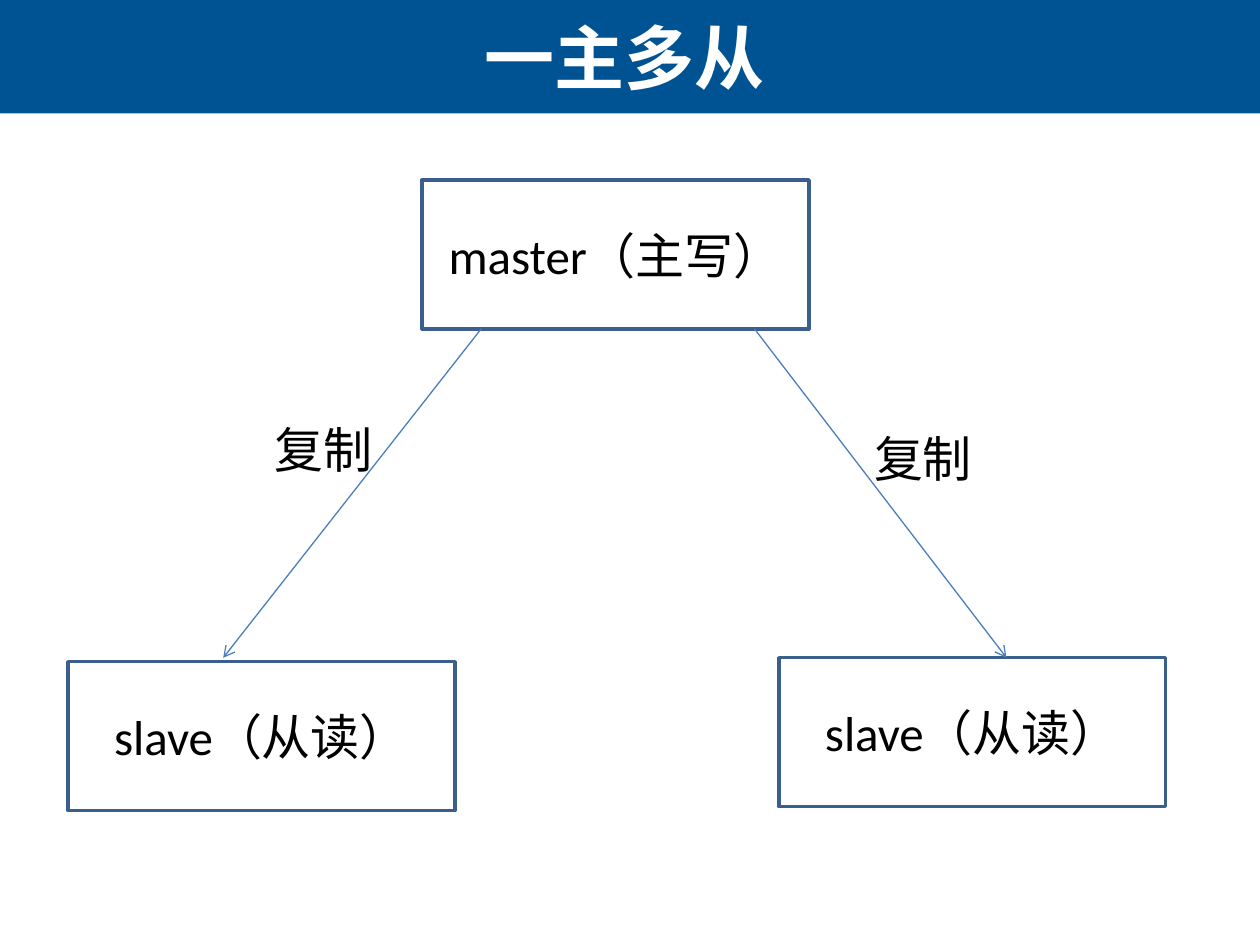
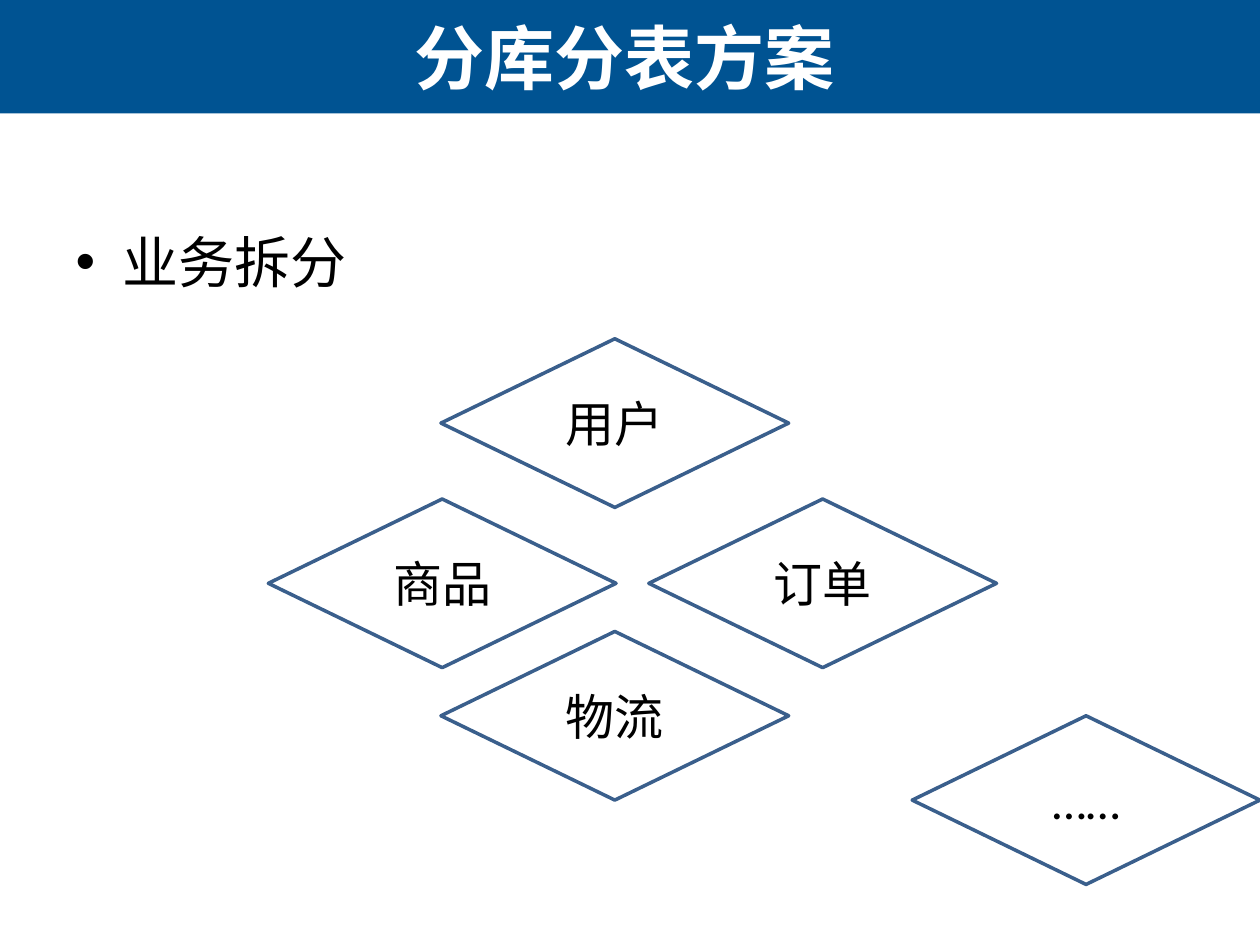
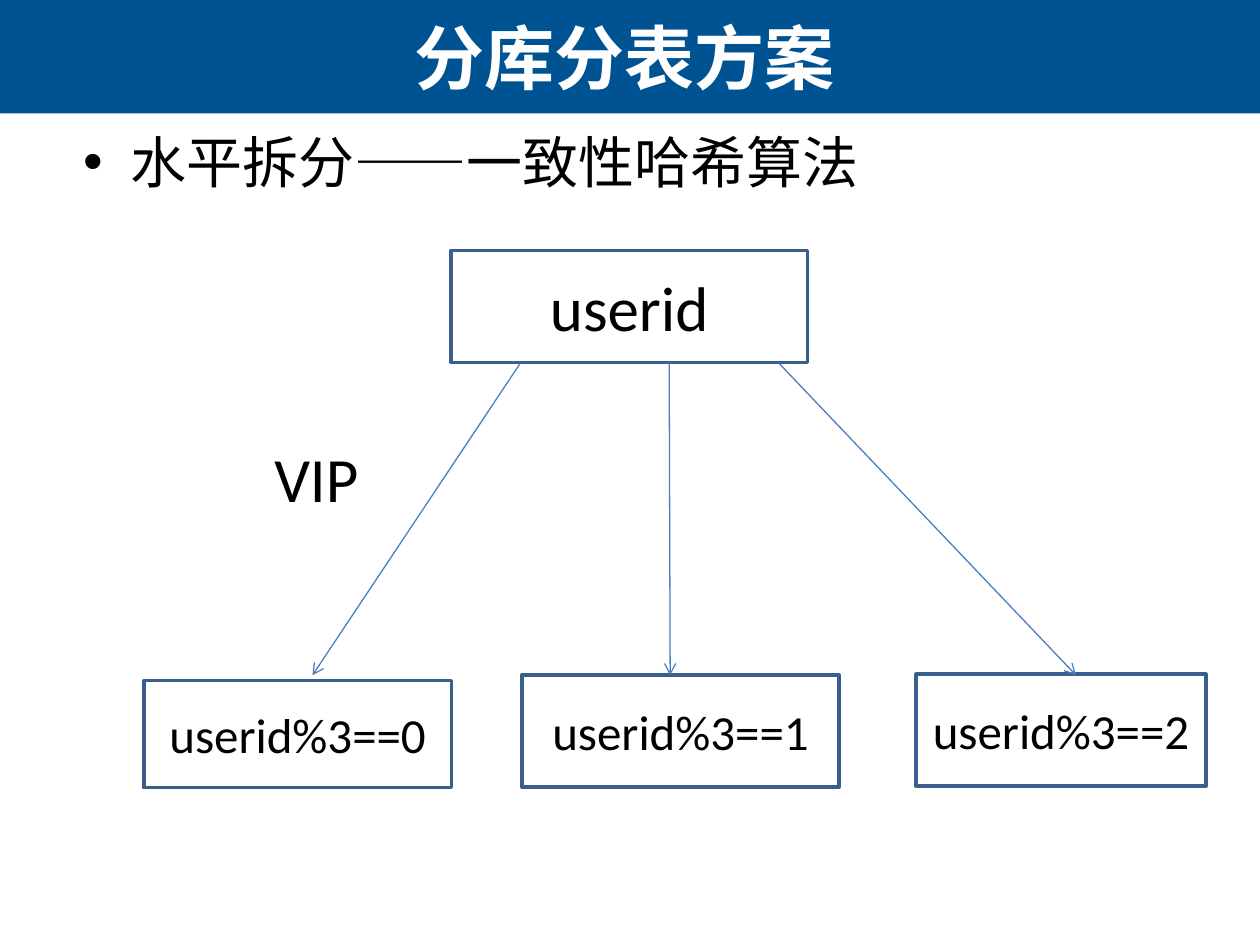
"""Builds three slides on database replication and sharding."""
from lxml import etree
from pptx import Presentation
from pptx.dml.color import RGBColor
from pptx.enum.shapes import MSO_CONNECTOR, MSO_SHAPE
from pptx.enum.text import MSO_ANCHOR, MSO_AUTO_SIZE, PP_ALIGN
from pptx.oxml.ns import qn
from pptx.util import Cm, Pt

RECT = MSO_SHAPE.RECTANGLE
DECISION = MSO_SHAPE.FLOWCHART_DECISION
STRAIGHT = MSO_CONNECTOR.STRAIGHT
CENTER = PP_ALIGN.CENTER
MIDDLE = MSO_ANCHOR.MIDDLE

BAND_BLUE = RGBColor(0x00, 0x53, 0x92)
OUTLINE = RGBColor(0x3A, 0x5F, 0x8C)
ARROW = RGBColor(0x4B, 0x7E, 0xBC)
BLACK = RGBColor(0x00, 0x00, 0x00)
WHITE = RGBColor(0xFF, 0xFF, 0xFF)

WIDTH, HEIGHT, BAND_H = 25.4, 19.05, 2.29
TITLE_ONLY, TITLE_BODY = 5, 1


def place(sp, left, top, width, height):
    """Move and size a shape, in centimetres."""
    sp.left, sp.top = Cm(left), Cm(top)
    sp.width, sp.height = Cm(width), Cm(height)


def add_run(p, text, size, color=BLACK, font="Calibri", bold=False):
    """Add one formatted run to a paragraph."""
    r = p.add_run()
    r.text = text
    r.font.name, r.font.size, r.font.bold = font, Pt(size), bold
    r.font.color.rgb = color


def add_band(prs, slide):
    """Draw the title band and hand it to the slide master."""
    sp = slide.shapes.add_shape(RECT, 0, 0, Cm(WIDTH), Cm(BAND_H))
    sp.shadow.inherit = False
    sp.fill.solid()
    sp.fill.fore_color.rgb = BAND_BLUE
    sp.line.fill.background()
    prs.slide_master.shapes.element.insert(2, sp.element)


def add_slide(prs, layout, title):
    """Add a slide with its title on the band."""
    slide = prs.slides.add_slide(prs.slide_layouts[layout])
    sp = slide.shapes.title
    place(sp, 0.05, 0, 25.07, BAND_H)
    tf = sp.text_frame
    tf.vertical_anchor = MIDDLE
    p = tf.paragraphs[0]
    p.alignment = CENTER
    add_run(p, title, 40, WHITE, "Arial", True)
    return slide


def fill_body(slide, text, left, top):
    """Place the body placeholder and write its bullet."""
    sp = slide.placeholders[1]
    place(sp, left, top, 22.86, 12.57)
    add_run(sp.text_frame.paragraphs[0], text, 32)


def add_node(slide, text, left, top, width, height, shape=RECT, size=28):
    """Add an outlined shape with centred text."""
    sp = slide.shapes.add_shape(shape, Cm(left), Cm(top), Cm(width), Cm(height))
    sp.shadow.inherit = False
    sp.fill.background()
    sp.line.color.rgb = OUTLINE
    sp.line.width = Pt(2)
    tf = sp.text_frame
    tf.vertical_anchor = MIDDLE
    p = tf.paragraphs[0]
    p.alignment = CENTER
    add_run(p, text, size)


def add_arrow(slide, x1, y1, x2, y2):
    """Add a thin arrow between two points."""
    cxn = slide.shapes.add_connector(STRAIGHT, Cm(x1), Cm(y1), Cm(x2), Cm(y2))
    cxn.line.color.rgb = ARROW
    cxn.line.width = Pt(0.75)
    etree.SubElement(cxn.line._get_or_add_ln(), qn("a:tailEnd"), type="arrow")
    etree.SubElement(cxn.element.spPr, qn("a:effectLst"))


def add_label(slide, text, left, top, width, height, size=28):
    """Add a text box beside an arrow."""
    sp = slide.shapes.add_textbox(Cm(left), Cm(top), Cm(width), Cm(height))
    tf = sp.text_frame
    tf.word_wrap = True
    tf.auto_size = MSO_AUTO_SIZE.SHAPE_TO_FIT_TEXT
    add_run(tf.paragraphs[0], text, size)


def replication_slide(prs):
    """Build the one-master, many-slaves slide."""
    slide = add_slide(prs, TITLE_ONLY, "一主多从")
    add_band(prs, slide)
    for text, left, top in (("slave（从读）", 1.37, 13.34),
                            ("slave（从读）", 15.7, 13.26),
                            ("master（主写）", 8.51, 3.63)):
        add_node(slide, text, left, top, 7.8, 3)
    for x1, x2 in ((9.7, 4.5), (15.21, 20.29)):
        add_arrow(slide, x1, 6.63, x2, 13.26)
    for left, top in ((5.28, 8.33), (17.37, 8.51)):
        add_label(slide, "复制", left, top, 4.72, 1.45)


def business_slide(prs):
    """Build the slide on splitting by business."""
    slide = add_slide(prs, TITLE_BODY, "分库分表方案")
    fill_body(slide, "业务拆分", 1.27, 4.45)
    for text, left, top in (("用户", 8.89, 6.83), ("商品", 5.41, 10.06),
                            ("订单", 13.08, 10.06), ("物流", 8.89, 12.73),
                            ("……", 18.39, 14.43)):
        add_node(slide, text, left, top, 7.01, 3.4, DECISION)


def hashing_slide(prs):
    """Build the slide on horizontal splitting."""
    slide = add_slide(prs, TITLE_BODY, "分库分表方案")
    fill_body(slide, "水平拆分——一致性哈希算法", 1.42, 2.44)
    add_node(slide, "userid", 9.09, 5.05, 7.19, 2.26, size=36)
    shards = ((2.9, 13.72, 6.2, 2.16), (10.52, 13.61, 6.4, 2.26),
              (18.47, 13.59, 5.84, 2.26))
    for i, box in enumerate(shards):
        add_node(slide, f"userid%3=={i}", *box)
    for x1, x2 in ((10.49, 6.3), (13.49, 13.51), (15.7, 21.69)):
        add_arrow(slide, x1, 7.32, x2, 13.61)
    add_label(slide, "VIP", 5.28, 8.74, 4.37, 1.8, 36)


def main():
    """Build and save the presentation."""
    prs = Presentation()
    prs.slide_width, prs.slide_height = Cm(WIDTH), Cm(HEIGHT)
    replication_slide(prs)
    business_slide(prs)
    hashing_slide(prs)
    prs.save("out.pptx")


if __name__ == "__main__":
    main()
